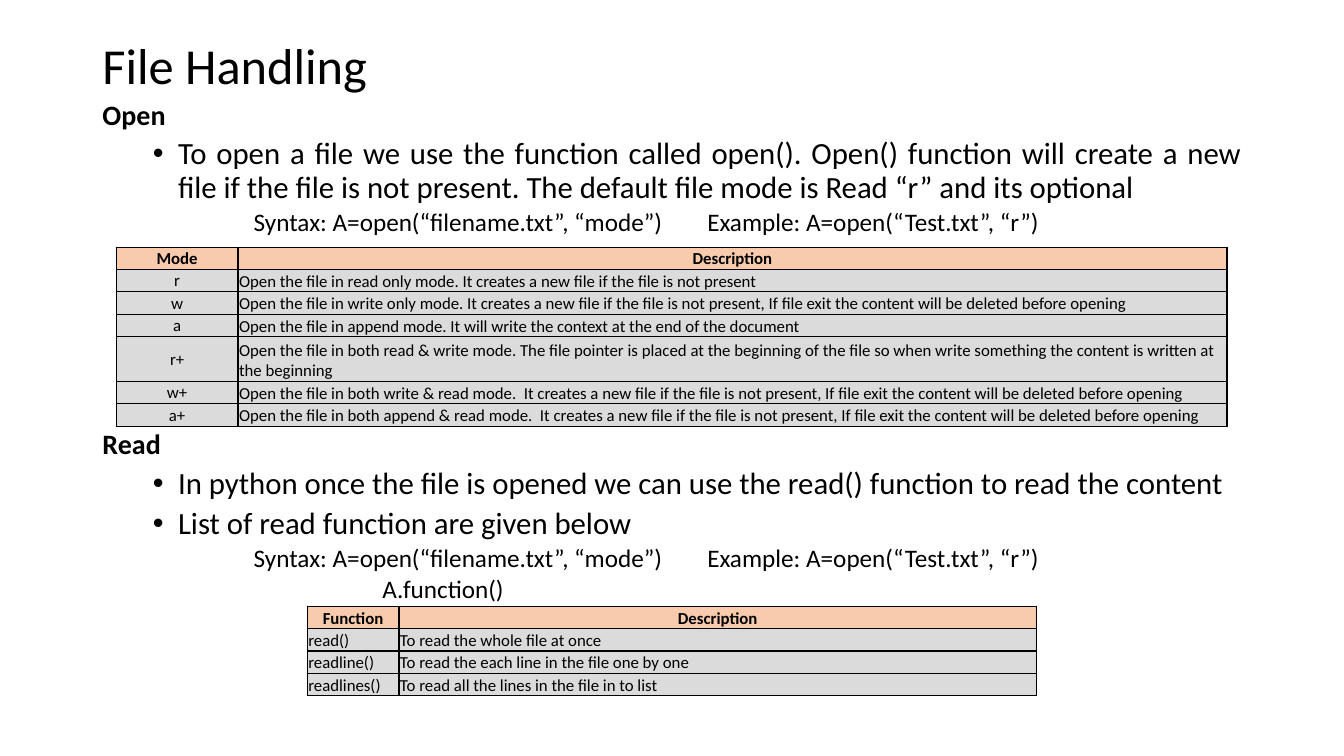
from dataclasses import dataclass

from lxml import etree
from pptx import Presentation
from pptx.dml.color import RGBColor
from pptx.enum.text import MSO_ANCHOR, MSO_AUTO_SIZE, PP_ALIGN
from pptx.oxml.ns import qn
from pptx.util import Pt

LEFT, CENTER, JUSTIFY = PP_ALIGN.LEFT, PP_ALIGN.CENTER, PP_ALIGN.JUSTIFY
MIDDLE, BOTTOM = MSO_ANCHOR.MIDDLE, MSO_ANCHOR.BOTTOM
NO_FIT = MSO_AUTO_SIZE.NONE


@dataclass(frozen=True)
class Theme:
    font: str = "Calibri"
    ink: str = "000000"
    header: str = "F8CBAD"
    row: str = "DBDBDB"
    title: int = 36
    heading: int = 20
    bullet: int = 22
    code: int = 18
    cell: int = 12


def set_all(target, values):
    for name, value in values.items():
        setattr(target, name, value)


class Deck:
    def __init__(self, theme):
        self.theme = theme
        self.prs = Presentation()
        set_all(self.prs, {"slide_width": Pt(960), "slide_height": Pt(540)})
        self.s = self.prs.slides.add_slide(self.prs.slide_layouts[1])

    def place(self, sp, left, top, width, height):
        set_all(sp, {"left": Pt(left), "top": Pt(top),
                     "width": Pt(width), "height": Pt(height)})

    def add_text(self, p, text, size, bold=False, **layout):
        set_all(p, layout)
        r = p.add_run()
        r.text = text
        set_all(r.font, {"name": self.theme.font, "size": Pt(size), "bold": bold})
        r.font.color.rgb = RGBColor.from_string(self.theme.ink)

    def title(self, text, box):
        sp = self.s.shapes.title
        self.place(sp, *box)
        tf = sp.text_frame
        set_all(tf, {"auto_size": NO_FIT, "vertical_anchor": MIDDLE, "word_wrap": True})
        self.add_text(tf.paragraphs[0], text, self.theme.title,
                      alignment=LEFT, line_spacing=0.9)

    def body(self, items, box):
        sp = self.s.placeholders[1]
        self.place(sp, *box)
        tf = sp.text_frame
        set_all(tf, {"auto_size": NO_FIT, "word_wrap": True})
        for i, (text, style) in enumerate(items):
            p = tf.add_paragraph() if i else tf.paragraphs[0]
            self.item(p, text, **style)

    def item(self, p, text, size, before, spacing=0.9, align=LEFT, bold=False,
             margin=0, indent=0, bullet=None, tab=None):
        self.add_text(p, text, size, bold, alignment=align, line_spacing=spacing,
                      space_before=Pt(before), space_after=Pt(0))
        pPr = p._p.get_or_add_pPr()
        pPr.set("marL", str(Pt(margin)))
        pPr.set("indent", str(Pt(indent)))
        if bullet:
            etree.SubElement(pPr, qn("a:buChar"), char=bullet)
        else:
            etree.SubElement(pPr, qn("a:buNone"))
        if tab:
            tabs = etree.SubElement(pPr, qn("a:tabLst"))
            etree.SubElement(tabs, qn("a:tab"), pos=str(Pt(tab)), algn="l")

    def table(self, rows, left, top, widths, heights, key_align, key_anchor):
        frame = self.s.shapes.add_table(len(rows), len(widths), Pt(left), Pt(top),
                                        Pt(sum(widths)), Pt(sum(heights)))
        table = frame.table
        for column, width in zip(table.columns, widths):
            column.width = Pt(width)
        for i, (row, height) in enumerate(zip(rows, heights)):
            table.rows[i].height = Pt(height)
            for j, text in enumerate(row):
                header, key = i == 0, j == 0
                self.cell(table.cell(i, j), text, header,
                          CENTER if header else key_align if key else LEFT,
                          key_anchor if key and not header else BOTTOM)

    def cell(self, cell, text, header, align, anchor):
        set_all(cell, {"margin_left": Pt(0.75), "margin_right": Pt(0.75),
                       "margin_top": Pt(0.75), "margin_bottom": Pt(0),
                       "vertical_anchor": anchor})
        cell.fill.solid()
        cell.fill.fore_color.rgb = RGBColor.from_string(
            self.theme.header if header else self.theme.row)
        self.add_text(cell.text_frame.paragraphs[0], text, self.theme.cell, header,
                      alignment=align)
        # Borders come before the fill in the cell properties
        tcPr = cell._tc.get_or_add_tcPr()
        for i, side in enumerate(("lnL", "lnR", "lnT", "lnB")):
            line = etree.Element(qn(f"a:{side}"), w=str(Pt(1)))
            fill = etree.SubElement(line, qn("a:solidFill"))
            etree.SubElement(fill, qn("a:srgbClr"), val=self.theme.ink)
            tcPr.insert(i, line)


theme = Theme()
deck = Deck(theme)

# Title and list
HEADING = {"size": theme.heading, "before": 10, "bold": True, "align": JUSTIFY}
BULLET = {"size": theme.bullet, "before": 5, "align": JUSTIFY,
          "margin": 54, "indent": -18, "bullet": "•"}
CODE = {"size": theme.code, "before": 5, "spacing": 0.8}
SYNTAX = {**CODE, "indent": 108, "tab": 497}
TABLE_GAP = 139
syntax = "Syntax: A=open(“filename.txt”, “mode”)\tExample: A=open(“Test.txt”, “r”)"

deck.title("File Handling", (66, 29, 828, 40))
deck.body([
    ("Open", HEADING),
    ("To open a file we use the function called open(). Open() function will create "
     "a new file if the file is not present. The default file mode is Read “r” and "
     "its optional", BULLET),
    (syntax, SYNTAX),
    ("Read", {**HEADING, "before": TABLE_GAP}),
    ("In python once the file is opened we can use the read() function to read the "
     "content", BULLET),
    ("List of read function are given below", BULLET),
    (syntax, SYNTAX),
    ("A.function()", {**CODE, "margin": 200}),
], (66, 68.5, 828, 454))

# File modes
ROW = 16
new_file = "It creates a new file if the file is not present"
deleted = f"{new_file}, If file exit the content will be deleted before opening"
modes = [
    ("Mode", "Description"),
    ("r", f"Open the file in read only mode. {new_file}"),
    ("w", f"Open the file in write only mode. {deleted}"),
    ("a", "Open the file in append mode. It will write the context at the end of "
          "the document"),
    ("r+", "Open the file in both read & write mode. The file pointer is placed at the "
           "beginning of the file so when write something the content is written at "
           "the beginning"),
    ("w+", f"Open the file in both write & read mode.  {deleted}"),
    ("a+", f"Open the file in both append & read mode.  {deleted}"),
]
mode_heights = [2 * ROW if mode == "r+" else ROW for mode, _ in modes]
deck.table(modes, 83, 176.5, (87, 706.5), mode_heights, CENTER, MIDDLE)

# Read functions
functions = [
    ("Function", "Description"),
    ("read()", "To read the whole file at once"),
    ("readline()", "To read the each line in the file one by one"),
    ("readlines()", "To read all the lines in the file in to list"),
]
deck.table(functions, 219.5, 433, (65.5, 455.5), [ROW] * len(functions), LEFT, BOTTOM)

deck.prs.save("out.pptx")
